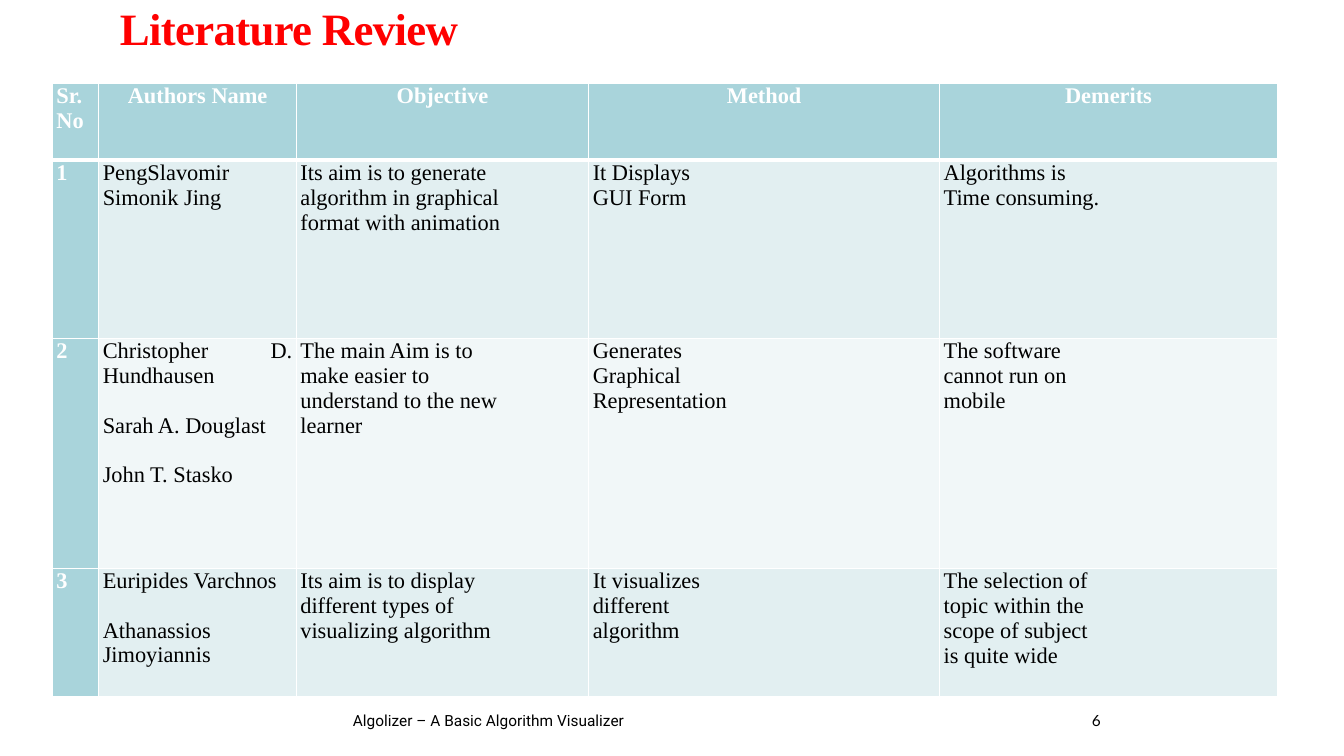
from pptx import Presentation
from pptx.dml.color import RGBColor
from pptx.enum.text import MSO_ANCHOR, PP_ALIGN
from pptx.oxml.ns import qn
from pptx.util import Inches, Pt
from lxml.etree import SubElement

# Content: each cell is a list of paragraphs
TITLE = "Literature Review"
HEADER = ["Sr. No", "Authors Name", "Objective", "Method", "Demerits"]
STUDIES = [
    (["PengSlavomir Simonik Jing"],
     ["Its aim is to generate", "algorithm in graphical", "format with animation"],
     ["It Displays", "GUI Form"],
     ["Algorithms is", "Time consuming."]),
    (["Christopher D. Hundhausen", "Sarah A. Douglast", "John T. Stasko"],
     ["The main Aim is to", "make easier to", "understand to the new", "learner"],
     ["Generates", "Graphical", "Representation"],
     ["The software", "cannot run on", "mobile"]),
    (["Euripides Varchnos", "Athanassios Jimoyiannis"],
     ["Its aim is to display", "different types of", "visualizing algorithm"],
     ["It visualizes", "different", "algorithm"],
     ["The selection of", "topic within the", "scope of subject", "is quite wide"]),
]
# Text, font, left, width
FOOTERS = [
    ("Algolizer – A Basic Algorithm Visualizer", "Roboto", 3.5, 5.81),
    ("6", "Lato", 10.83, 1.43),
]

# Layout and formats
COLUMN_WIDTHS = [0.46, 1.96, 2.9, 3.48, 3.35]
ROW_HEIGHTS = [0.76, 1.77, 2.28, 1.27]
AUTHOR_COLUMN = 1
AUTHOR_GAP = Pt(17.7)
COLORS = {"title": "FF0000", "text": "000000", "light": "FFFFFF",
          "head": "A9D4DB", "odd": "E2EFF1", "even": "F1F7F8"}
TITLE_FORMAT = {"name": "Times New Roman", "size": Pt(32), "bold": True}
HEAD_FORMAT = {"name": "Times New Roman", "size": Pt(16), "bold": True}
BODY_FORMAT = {**HEAD_FORMAT, "bold": False}
CELL_MARGINS = {"margin_left": Inches(0.04), "margin_right": Inches(0.04),
                "margin_top": 0, "margin_bottom": 0}
FRAME_FORMAT = {"margin_left": 0, "margin_right": 0, "margin_top": 0,
                "margin_bottom": 0, "word_wrap": True}


def set_all(target, values):
    for name, value in values.items():
        setattr(target, name, value)


def add_span(para, text, font_format, color):
    span = para.add_run()
    span.text = text
    set_all(span.font, font_format)
    span.font.color.rgb = RGBColor.from_string(COLORS[color])
    return span


def add_borders(cell, row):
    properties = cell._tc.get_or_add_tcPr()
    for side in ("L", "R", "T", "B"):
        under_header = (row, side) in ((0, "B"), (1, "T"))
        line = SubElement(properties, qn(f"a:ln{side}"), w=str(Pt(3 if under_header else 1)))
        fill = SubElement(line, qn("a:solidFill"))
        SubElement(fill, qn("a:srgbClr"), val=COLORS["light"])


def fill_cell(cell, lines, row, column):
    is_head = row == 0 or column == 0
    add_borders(cell, row)
    set_all(cell, CELL_MARGINS)
    cell.fill.solid()
    shade = "head" if is_head else "odd" if row % 2 else "even"
    cell.fill.fore_color.rgb = RGBColor.from_string(COLORS[shade])
    for index, line in enumerate(lines):
        para = cell.text_frame.add_paragraph() if index else cell.text_frame.paragraphs[0]
        centred = row == 0 and column > 0
        para.alignment = PP_ALIGN.CENTER if centred else PP_ALIGN.JUSTIFY
        if index and column == AUTHOR_COLUMN:
            para.space_before = AUTHOR_GAP
        add_span(para, line, HEAD_FORMAT if is_head else BODY_FORMAT,
                 "light" if is_head else "text")


def main():
    deck = Presentation()
    set_all(deck, {"slide_width": Inches(13.33), "slide_height": Inches(7.5)})
    page = deck.slides.add_slide(deck.slide_layouts[5])

    # Title
    title = page.shapes.title
    set_all(title, {"left": Inches(1.09), "top": Inches(0.04),
                    "width": Inches(4.53), "height": Inches(0.76)})
    title.text_frame.vertical_anchor = MSO_ANCHOR.TOP
    para = title.text_frame.paragraphs[0]
    set_all(para, {"alignment": PP_ALIGN.LEFT, "line_spacing": 0.85})
    span = add_span(para, TITLE, TITLE_FORMAT, "title")
    span.font._element.set("spc", "-50")

    # Table
    rows = [[[label] for label in HEADER]]
    rows += [[[str(number)], *study] for number, study in enumerate(STUDIES, 1)]
    table = page.shapes.add_table(
        len(rows), len(HEADER), Inches(0.52), Inches(0.83),
        Inches(sum(COLUMN_WIDTHS)), Inches(sum(ROW_HEIGHTS))).table
    table.first_col = True
    for column, width in zip(table.columns, COLUMN_WIDTHS):
        column.width = Inches(width)
    for row, height in zip(table.rows, ROW_HEIGHTS):
        row.height = Inches(height)
    for row, cells in enumerate(rows):
        for column, lines in enumerate(cells):
            fill_cell(table.cell(row, column), lines, row, column)

    # Footer and page number
    for text, font, left, width in FOOTERS:
        box = page.shapes.add_textbox(Inches(left), Inches(7.06), Inches(width), Inches(0.4))
        set_all(box.text_frame, FRAME_FORMAT)
        add_span(box.text_frame.paragraphs[0], text,
                 {"name": font, "size": Pt(11)}, "text")

    deck.save("out.pptx")


if __name__ == "__main__":
    main()
